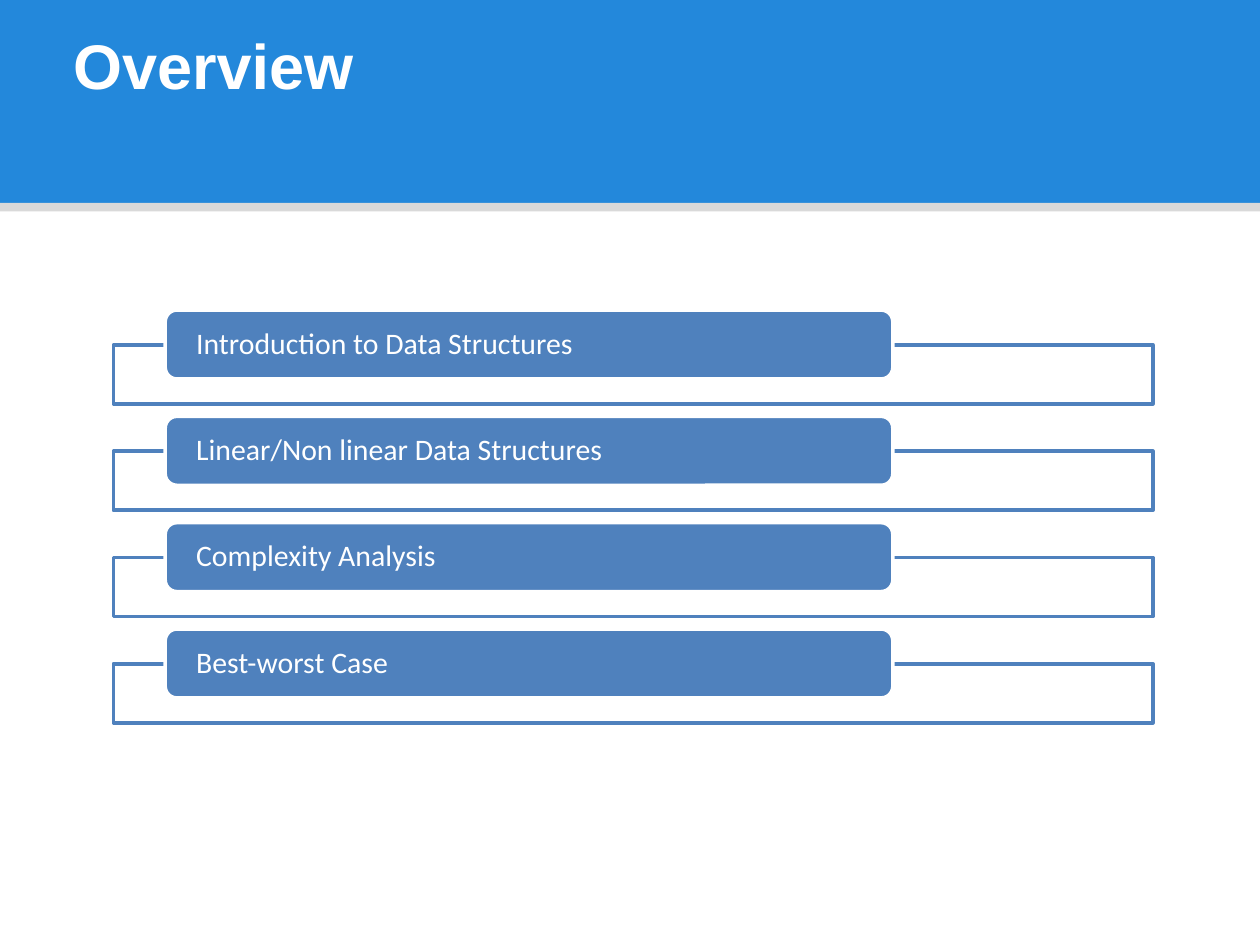
"""Build the Overview slide: a header band and four topic bars."""
from pptx import Presentation
from pptx.dml.color import RGBColor
from pptx.enum.shapes import MSO_SHAPE as Kind
from pptx.enum.text import MSO_ANCHOR as Anchor, MSO_AUTO_SIZE as Fit, PP_ALIGN as Align
from pptx.util import Pt

WHITE = RGBColor(0xFF, 0xFF, 0xFF)
BLUE = RGBColor(0x23, 0x88, 0xDB)
GREY = RGBColor(0xD9, 0xD9, 0xD9)
STEEL = RGBColor(0x4F, 0x81, 0xBD)

TOPICS = [
    "Introduction to Data Structures",
    "Linear/Non linear Data Structures",
    "Complexity Analysis",
    "Best-worst Case",
]
TOP, STEP = 177.2, 60.75


def add_box(kind, left, top, width, height, fill, line=None):
    box = slide.shapes.add_shape(kind, Pt(left), Pt(top), Pt(width), Pt(height))
    box.shadow.inherit = False
    box.fill.solid()
    box.fill.fore_color.rgb = fill
    if line is None:
        box.line.fill.background()
    else:
        box.line.color.rgb = line
        box.line.width = Pt(2)
    return box


def set_text(box, text, side, frame, para, font):
    body = box.text_frame
    body.text = text
    first = body.paragraphs[0]
    base = {
        "word_wrap": True,
        "margin_left": Pt(side),
        "margin_right": Pt(side),
        "margin_top": 0,
        "margin_bottom": 0,
    }
    look = {"color": WHITE, **font}
    first.runs[0].font.color.rgb = look.pop("color")
    for item, values in (
        (body, {**base, **frame}),
        (first, {"alignment": Align.LEFT, **para}),
        (first.runs[0].font, look),
    ):
        for name, value in values.items():
            setattr(item, name, value)


deck = Presentation()
deck.slide_width, deck.slide_height = Pt(720), Pt(540)
slide = deck.slides.add_slide(deck.slide_layouts[6])

add_box(Kind.RECTANGLE, 0, 0, 720, 116, BLUE)
add_box(Kind.RECTANGLE, 0, 116, 720, 4.8, GREY)

title = slide.shapes.add_textbox(Pt(41.8), Pt(15.1), Pt(636.5), Pt(43.9))
set_text(
    title, "Overview", 0,
    {"auto_size": Fit.SHAPE_TO_FIT_TEXT, "vertical_anchor": Anchor.TOP},
    {},
    {"name": "Arial", "size": Pt(36), "bold": True},
)

for row, topic in enumerate(TOPICS):
    top = TOP + row * STEP
    add_box(Kind.RECTANGLE, 64.8, top + 19.9, 594, 33.8, WHITE, STEEL)
    bar = add_box(Kind.ROUNDED_RECTANGLE, 94.4, top, 415.8, 39.4, STEEL, WHITE)
    bar.adjustments[0] = 0.17
    set_text(
        bar, topic, 15.7,
        {"vertical_anchor": Anchor.MIDDLE},
        {"line_spacing": 0.9},
        {"name": "Calibri", "size": Pt(17)},
    )

deck.save("out.pptx")
